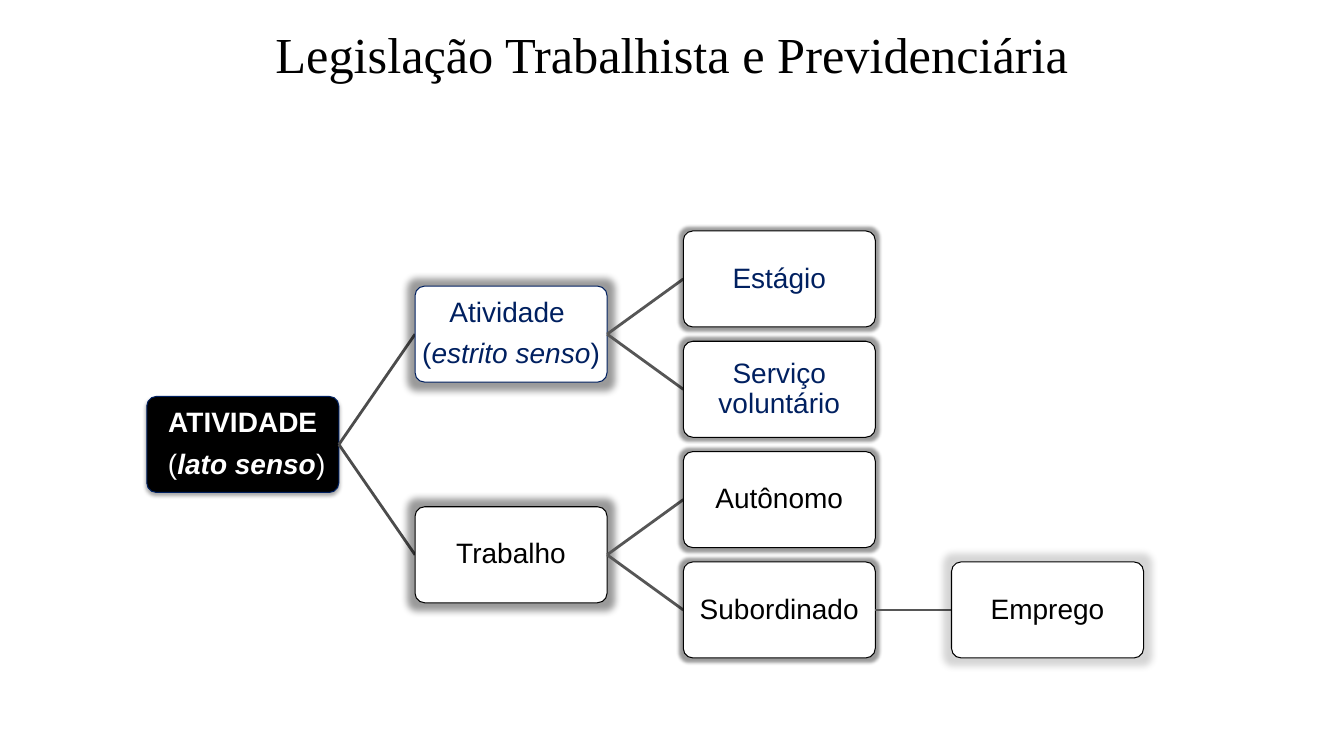
import pptx
import pptx.dml.color
import pptx.enum.shapes
import pptx.enum.text
import pptx.oxml
import pptx.oxml.ns
import pptx.util
from pptx.util import Cm

BLACK = pptx.dml.color.RGBColor(0x00, 0x00, 0x00)
WHITE = pptx.dml.color.RGBColor(0xFF, 0xFF, 0xFF)
NAVY = pptx.dml.color.RGBColor(0x00, 0x20, 0x60)
DARK_GREY = pptx.dml.color.RGBColor(0x4C, 0x4C, 0x4C)
GREY = pptx.dml.color.RGBColor(0x56, 0x56, 0x56)

TREE_LEFT, TREE_TOP = 3.7, 5.82
COLUMN_PITCH, ROW_PITCH = 6.76, 2.78
BOX_WIDTH, BOX_HEIGHT = 4.84, 2.42
LEFT_SITE, RIGHT_SITE = 1, 3

SOFT_SHADOW = ('outerShdw blurRad="39370" dist="22860" dir="5400000" rotWithShape="0"',
               "outerShdw", 35)
WIDE_GLOW = ('glow rad="139700"', "glow", 40)
NARROW_GLOW = ('glow rad="63500"', "glow", 40)
PALE_GLOW = ('glow rad="139700"', "glow", 17)

# A line is a list of (text, bold, italic) runs.
LATO_SENSO = [[("ATIVIDADE", True, False)],
              [(" (", False, False), ("lato senso", True, True), (")", False, False)]]
ESTRITO_SENSO = [[("Atividade ", False, False)],
                 [("(", False, False), ("estrito senso", False, True), (")", False, False)]]


def plain(text):
    return [[(text, False, False)]]


# key, parent, column, row, lines, fill, outline, text colour, effect
NODES = [
    ("lato", None, 0, 1.5, LATO_SENSO, BLACK, NAVY, WHITE, SOFT_SHADOW),
    ("estrito", "lato", 1, 0.5, ESTRITO_SENSO, WHITE, NAVY, NAVY, WIDE_GLOW),
    ("estágio", "estrito", 2, 0, plain("Estágio"), WHITE, BLACK, NAVY, NARROW_GLOW),
    ("serviço", "estrito", 2, 1, plain("Serviço voluntário"), WHITE, BLACK, NAVY, NARROW_GLOW),
    ("trabalho", "lato", 1, 2.5, plain("Trabalho"), WHITE, BLACK, BLACK, WIDE_GLOW),
    ("autônomo", "trabalho", 2, 2, plain("Autônomo"), WHITE, BLACK, BLACK, NARROW_GLOW),
    ("subordinado", "trabalho", 2, 3, plain("Subordinado"), WHITE, BLACK, BLACK, NARROW_GLOW),
    ("emprego", "subordinado", 3, 3, plain("Emprego"), WHITE, BLACK, BLACK, PALE_GLOW),
]


def add_title(slide, text):
    title = slide.shapes.title
    title.left, title.top, title.width, title.height = Cm(1.7), Cm(0.53), Cm(30.48), Cm(1.63)
    title.text_frame.text = text
    title.text_frame.vertical_anchor = pptx.enum.text.MSO_ANCHOR.MIDDLE
    paragraph = title.text_frame.paragraphs[0]
    paragraph.alignment = pptx.enum.text.PP_ALIGN.CENTER
    paragraph.font.name = "Times New Roman"
    paragraph.font.size = pptx.util.Pt(36)
    paragraph.font.color.rgb = BLACK


def set_effect(box, effect):
    """Give the box one black shadow or glow with the stated opacity."""
    opening, tag, opacity = effect
    box.shadow.inherit = False
    effects = box._element.spPr.find(pptx.oxml.ns.qn("a:effectLst"))
    effects.append(pptx.oxml.parse_xml(
        f'<a:{opening} {pptx.oxml.ns.nsdecls("a")}><a:srgbClr val="000000">'
        f'<a:alpha val="{opacity * 1000}"/></a:srgbClr></a:{tag}>'))


def write_lines(box, lines, color):
    frame = box.text_frame
    frame.word_wrap = True
    frame.vertical_anchor = pptx.enum.text.MSO_ANCHOR.MIDDLE
    frame.margin_left = frame.margin_right = Cm(0.03)
    frame.margin_top = frame.margin_bottom = Cm(0.03)
    for index, line in enumerate(lines):
        paragraph = frame.add_paragraph() if index else frame.paragraphs[0]
        paragraph.alignment = pptx.enum.text.PP_ALIGN.CENTER
        paragraph.line_spacing = 0.9
        paragraph.space_after = pptx.util.Pt(8)
        paragraph.font.name = "Arial"
        paragraph.font.size = pptx.util.Pt(20)
        paragraph.font.color.rgb = color
        for text, bold, italic in line:
            run = paragraph.add_run()
            run.text = text
            run.font.bold = bold
            run.font.italic = italic


def add_box(slide, left, top, lines, fill, outline, text_color, effect):
    box = slide.shapes.add_shape(pptx.enum.shapes.MSO_SHAPE.ROUNDED_RECTANGLE,
                                 left, top, Cm(BOX_WIDTH), Cm(BOX_HEIGHT))
    box.adjustments[0] = 0.1
    box.fill.solid()
    box.fill.fore_color.rgb = fill
    box.line.color.rgb = outline
    box.line.width = pptx.util.Pt(0.75)
    set_effect(box, effect)
    write_lines(box, lines, text_color)
    return box


def add_branch(slide, parent, left, middle, color):
    branch = slide.shapes.add_connector(pptx.enum.shapes.MSO_CONNECTOR.STRAIGHT,
                                        left, middle, left, middle)
    branch.begin_connect(parent, RIGHT_SITE)
    branch.line.color.rgb = color
    branch.line.width = pptx.util.Pt(2)
    branch._element.spPr.append(pptx.oxml.parse_xml(
        f'<a:effectLst {pptx.oxml.ns.nsdecls("a")}/>'))
    return branch


def add_tree(slide, nodes):
    """Draw each branch beneath its child, so that the child's glow covers it."""
    boxes = {}
    for key, parent, column, row, *style in nodes:
        left = Cm(TREE_LEFT + column * COLUMN_PITCH)
        top = Cm(TREE_TOP + row * ROW_PITCH)
        branch = None
        if parent:
            color = DARK_GREY if column == 1 else GREY
            branch = add_branch(slide, boxes[parent], left, top + Cm(BOX_HEIGHT / 2), color)
        boxes[key] = add_box(slide, left, top, *style)
        if branch:
            branch.end_connect(boxes[key], LEFT_SITE)


def main():
    presentation = pptx.Presentation()
    presentation.slide_width, presentation.slide_height = Cm(33.87), Cm(19.05)
    slide = presentation.slides.add_slide(presentation.slide_layouts[5])
    add_title(slide, "Legislação Trabalhista e Previdenciária")
    add_tree(slide, NODES)
    presentation.save("out.pptx")


if __name__ == "__main__":
    main()
